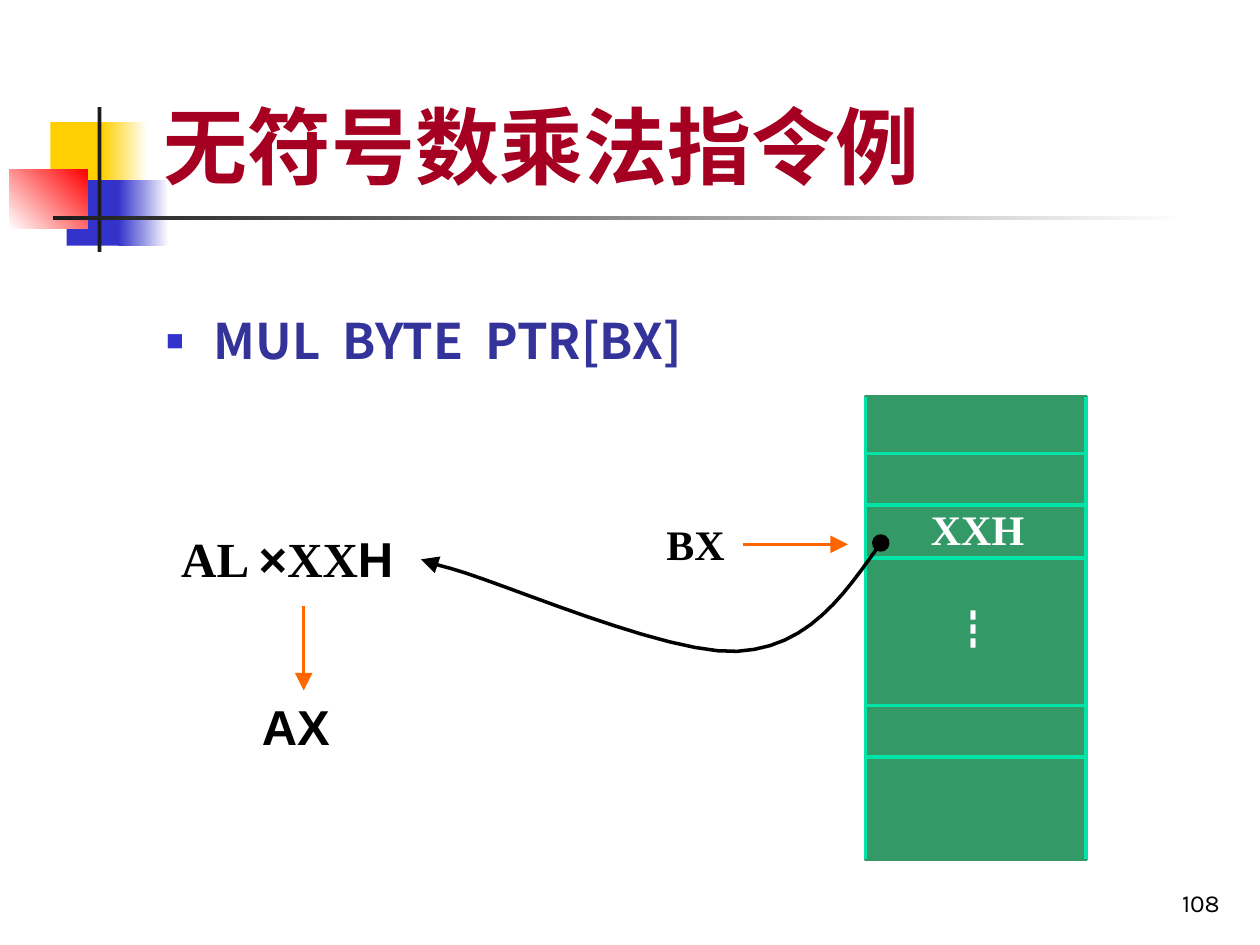
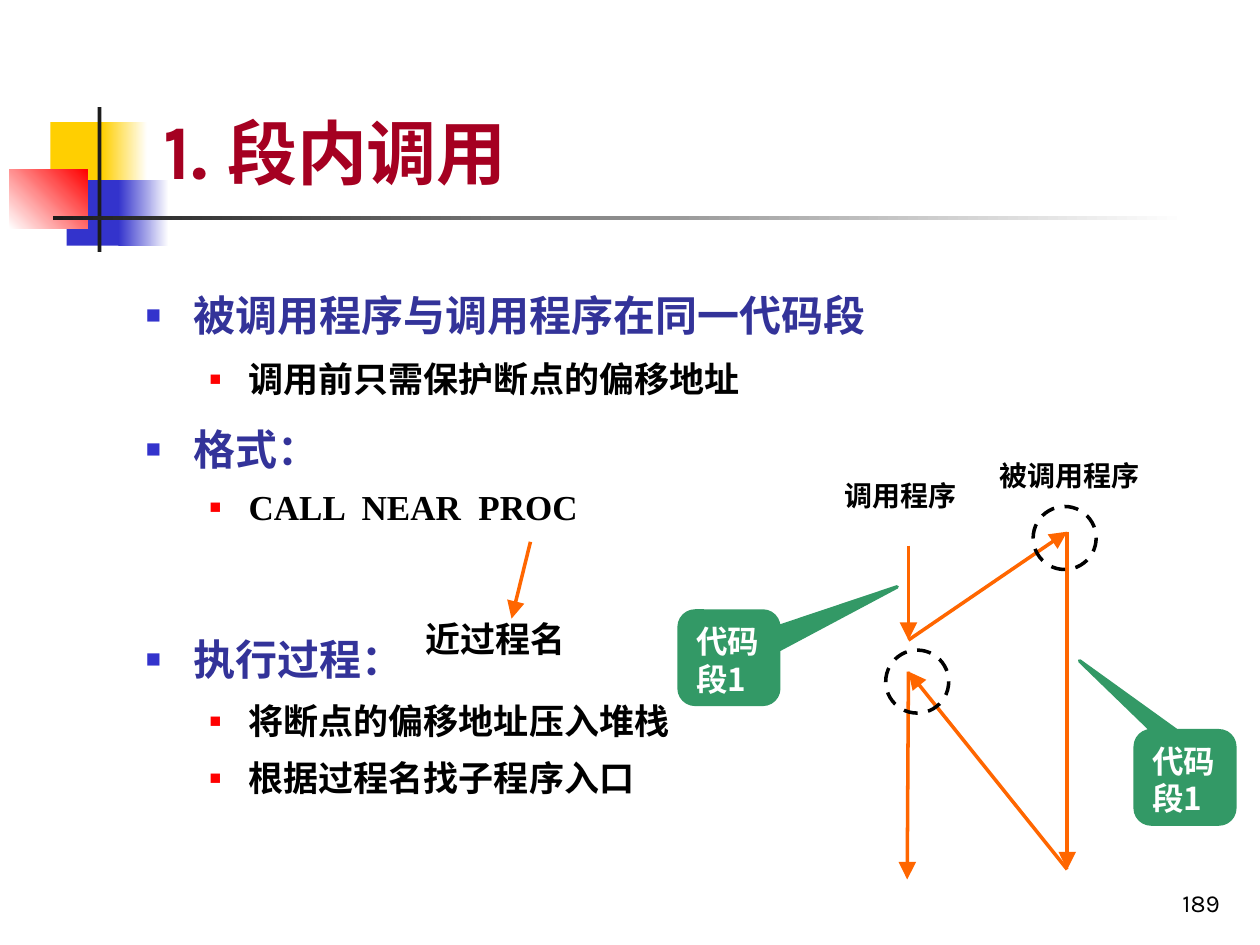
from dataclasses import dataclass
from lxml.etree import SubElement
from pptx import Presentation
from pptx.dml.color import RGBColor
from pptx.enum.dml import MSO_LINE
from pptx.enum.shapes import MSO_CONNECTOR, MSO_SHAPE
from pptx.enum.text import MSO_ANCHOR, PP_ALIGN
from pptx.oxml.ns import qn
from pptx.util import Inches, Pt


@dataclass(frozen=True)
class Theme:
    white: str = "FFFFFF"
    black: str = "000000"
    dark: str = "1C1C1C"
    gold: str = "FFCF01"
    blue: str = "3333CC"
    red: str = "FF0000"
    wine: str = "A50021"
    navy: str = "333399"
    green: str = "339966"
    mint: str = "00E4A8"
    flame: str = "FF6600"
    han: str = "Noto Sans CJK SC"
    serif: str = "Times New Roman"
    sans: str = "Arial"
    round: str = "Karla"
    huge: int = 48
    title: int = 44
    head: int = 40
    large: int = 28
    body: int = 24
    sub: int = 20
    call: int = 18
    small: int = 16
    page: int = 14
    stroke: int = 2


look = Theme()
hue = RGBColor.from_string
deck = Presentation()
deck.slide_width, deck.slide_height = Inches(10), Inches(7.5)
cell = deck.slide_width / 100


def grid(*spots):
    return [round(spot * cell) for spot in spots]


def say(para, words, size, ink, face, bold=True):
    run = para.add_run()
    run.text = words
    run.font.size, run.font.bold = Pt(size), bold
    run.font.color.rgb = hue(ink)
    run.font.name = face
    SubElement(run.font._element, qn("a:ea"), typeface=face)


bands = [
    (4, 9.7, 4.8, 5.2, look.gold, None, 0),
    (8.1, 9.7, 3.6, 5.2, look.gold, look.white, 0),
    (5.3, 14.3, 4.6, 5.2, look.blue, None, 0),
    (9.4, 14.3, 4, 5.2, look.blue, look.white, 0),
    (0.75, 13.45, 6.2, 4.7, look.white, look.red, 45),
    (7.75, 8.5, 0.3, 11.5, look.dark, None, 0),
    (4.2, 17.15, 90, 0.3, look.dark, look.white, 0),
]
titles = [
    ("108", [("无符号数乘法指令例", look.huge, look.han)]),
    ("189", [("1. ", look.title, look.round), ("段内调用", look.head, look.han)]),
]
slides = []
for number, parts in titles:
    slide = deck.slides.add_slide(deck.slide_layouts[6])
    slides.append(slide)
    for x, y, w, h, start, end, angle in bands:
        band = slide.shapes.add_shape(MSO_SHAPE.RECTANGLE, *grid(x, y, w, h))
        band.shadow.inherit = False
        band.line.fill.background()
        if end:
            band.fill.gradient()
            band.fill.gradient_angle = angle
            for stop, tint in zip(band.fill.gradient_stops, (start, end)):
                stop.color.rgb = hue(tint)
        else:
            band.fill.solid()
            band.fill.fore_color.rgb = hue(start)
    page = slide.shapes.add_textbox(*grid(77, 68.3, 20.8, 5)).text_frame
    page.vertical_anchor = MSO_ANCHOR.BOTTOM
    page.paragraphs[0].alignment = PP_ALIGN.RIGHT
    say(page.paragraphs[0], number, look.page, look.black, look.round, False)
    title = slide.shapes.add_textbox(*grid(12, 0, 85.2, 16)).text_frame
    title.vertical_anchor = MSO_ANCHOR.BOTTOM
    title.word_wrap = True
    for words, size, face in parts:
        say(title.paragraphs[0], words, size, look.wine, face)
first, second = slides

levels = [
    (3.8, 3.8, look.blue, 60, look.navy),
    (8.15, 3.1, look.red, 55, look.black),
]
lists = [
    (first, (12.2, 24.15, 56.7, 11.5), [
        (0, "MUL  BYTE  PTR[BX]", look.large, look.han, 0),
    ]),
    (second, (10.6, 22.5, 63.1, 47.7), [
        (0, "被调用程序与调用程序在同一代码段", look.body, look.han, 0),
        (1, "调用前只需保护断点的偏移地址", look.sub, look.han, 10),
        (0, "格式：", look.body, look.han, 13.5),
        (1, "CALL  NEAR  PROC", look.sub, look.serif, 7),
        (0, "执行过程：", look.body, look.han, 60.5),
        (1, "将断点的偏移地址压入堆栈", look.sub, look.han, 9),
        (1, "根据过程名找子程序入口", look.sub, look.han, 8.5),
    ]),
]
for slide, place, items in lists:
    frame = slide.shapes.add_textbox(*grid(*place)).text_frame
    frame.word_wrap = True
    for row, (level, words, size, face, gap) in enumerate(items):
        para = frame.add_paragraph() if row else frame.paragraphs[0]
        left, hang, tint, share, ink = levels[level]
        para.level = level
        props = para._p.get_or_add_pPr()
        props.set("marL", str(round(left * cell)))
        props.set("indent", str(-round(hang * cell)))
        SubElement(SubElement(props, qn("a:buClr")), qn("a:srgbClr"), val=tint)
        SubElement(props, qn("a:buSzPct"), val=str(share * 1000))
        SubElement(props, qn("a:buFont"), typeface=look.sans)
        SubElement(props, qn("a:buChar"), char="■")
        para.space_before = Pt(gap)
        say(para, words, size, ink, face)

left, right, top, base = 68.7, 86.2, 31.5, 68.2
stack = first.shapes.add_shape(
    MSO_SHAPE.RECTANGLE, *grid(left, top, right - left, base - top))
stack.shadow.inherit = False
stack.fill.solid()
stack.fill.fore_color.rgb = stack.line.color.rgb = hue(look.green)
stack.line.width = Pt(look.stroke)

wires = [(first, left, y, right, y, look.mint) for y in (36, 40.1, 44.3, 56, 60.1)]
wires += [(first, x, top, x, base, look.mint) for x in (left, right)]
wires += [
    (first, 59, 43.2, 67.3, 43.2, look.flame),
    (first, 24.1, 48.1, 24.1, 54.8, look.flame),
    (second, 42.1, 43, 40.6, 49.1, look.flame),
]
route = [(72.1, 43.3), (72.1, 50.8), (84.7, 42.2), (84.7, 69), (72.1, 53.3), (72, 69.8)]
wires += [(second, *start, *end, look.flame) for start, end in zip(route, route[1:])]
for slide, x, y, far, low, tint in wires:
    wire = slide.shapes.add_connector(MSO_CONNECTOR.STRAIGHT, *grid(x, y, far, low))
    wire.line.color.rgb = hue(tint)
    wire.line.width = Pt(look.stroke)
    if tint == look.flame:
        SubElement(wire.line._get_or_add_ln(), qn("a:tailEnd"),
                   type="triangle", w="lg", len="lg")
    SubElement(wire._element.spPr, qn("a:effectLst"))

bends = [
    ((69.9, 43.1), (67, 47.2), (64.2, 51.4), (58.5, 51.7)),
    ((58.5, 51.7), (52.9, 52), (39.8, 46.2), (35.7, 45.1)),
    ((35.7, 45.1), (34.5, 44.8), (34, 44.6), (33.4, 44.4)),
]
steps = 12
trail = []
for bend in bends:
    for step in range(1, steps + 1):
        t = step / steps
        parts = ((1 - t) ** 3, 3 * t * (1 - t) ** 2, 3 * t * t * (1 - t), t ** 3)
        trail.append(grid(*(sum(p * s for p, s in zip(parts, axis)) for axis in zip(*bend))))
pen = first.shapes.build_freeform(*grid(*bends[0][0]), scale=1.0)
pen.add_line_segments(trail, close=False)
curve = pen.convert_to_shape()
curve.shadow.inherit = False
curve.fill.background()
curve.line.color.rgb = hue(look.black)
curve.line.width = Pt(look.stroke)
for end, kind in (("a:headEnd", "oval"), ("a:tailEnd", "triangle")):
    SubElement(curve.line._get_or_add_ln(), qn(end), type=kind, w="lg", len="lg")

for x, y in ((70.3, 51.6), (82, 40.2)):
    ring = second.shapes.add_shape(MSO_SHAPE.OVAL, *grid(x, y, 5, 5))
    ring.shadow.inherit = False
    ring.fill.background()
    ring.line.color.rgb = hue(look.black)
    ring.line.width = Pt(look.stroke)
    ring.line.dash_style = MSO_LINE.DASH

for x, y, *aim in ((53.9, 48.5, 1.69, -0.76), (90.1, 58, -1.06, -1.25)):
    call = second.shapes.add_shape(
        MSO_SHAPE.ROUNDED_RECTANGULAR_CALLOUT, *grid(x, y, 7.9, 7.4))
    call.shadow.inherit = False
    for spot, value in enumerate((*aim, 0.17)):
        call.adjustments[spot] = value
    call.fill.solid()
    call.fill.fore_color.rgb = call.line.color.rgb = hue(look.green)
    call.line.width = Pt(look.stroke)
    call.text_frame.vertical_anchor = MSO_ANCHOR.TOP
    call.text_frame.word_wrap = True
    para = call.text_frame.paragraphs[0]
    para.alignment = PP_ALIGN.LEFT
    say(para, "代码段1", look.call, look.white, look.han)

labels = [
    (first, 74.6, 47.4, 6.7, 5, look.body, look.white, [("┇", look.han)]),
    (first, 51.9, 40.7, 8.3, 5, look.body, look.black, [("BX", look.serif)]),
    (first, 72.9, 39.5, 11.7, 5, look.body, look.white, [("XXH", look.serif)]),
    (first, 13.4, 41.45, 21.7, 5.7, look.large, look.black,
     [("AL ", look.serif), ("×", look.sans), ("XX", look.serif), ("H", look.sans)]),
    (first, 19.8, 54.8, 8.3, 5.7, look.large, look.black, [("AX", look.sans)]),
    (second, 32.8, 48.5, 15.7, 4.4, look.sub, look.black, [("近过程名", look.han)]),
    (second, 66.05, 37.5, 12.1, 3.7, look.small, look.black, [("调用程序", look.han)]),
    (second, 78.35, 35.9, 14.9, 3.7, look.small, look.black, [("被调用程序", look.han)]),
]
for slide, x, y, w, h, size, ink, parts in labels:
    frame = slide.shapes.add_textbox(*grid(x, y, w, h)).text_frame
    frame.word_wrap = True
    for words, face in parts:
        say(frame.paragraphs[0], words, size, ink, face)

deck.save("out.pptx")
